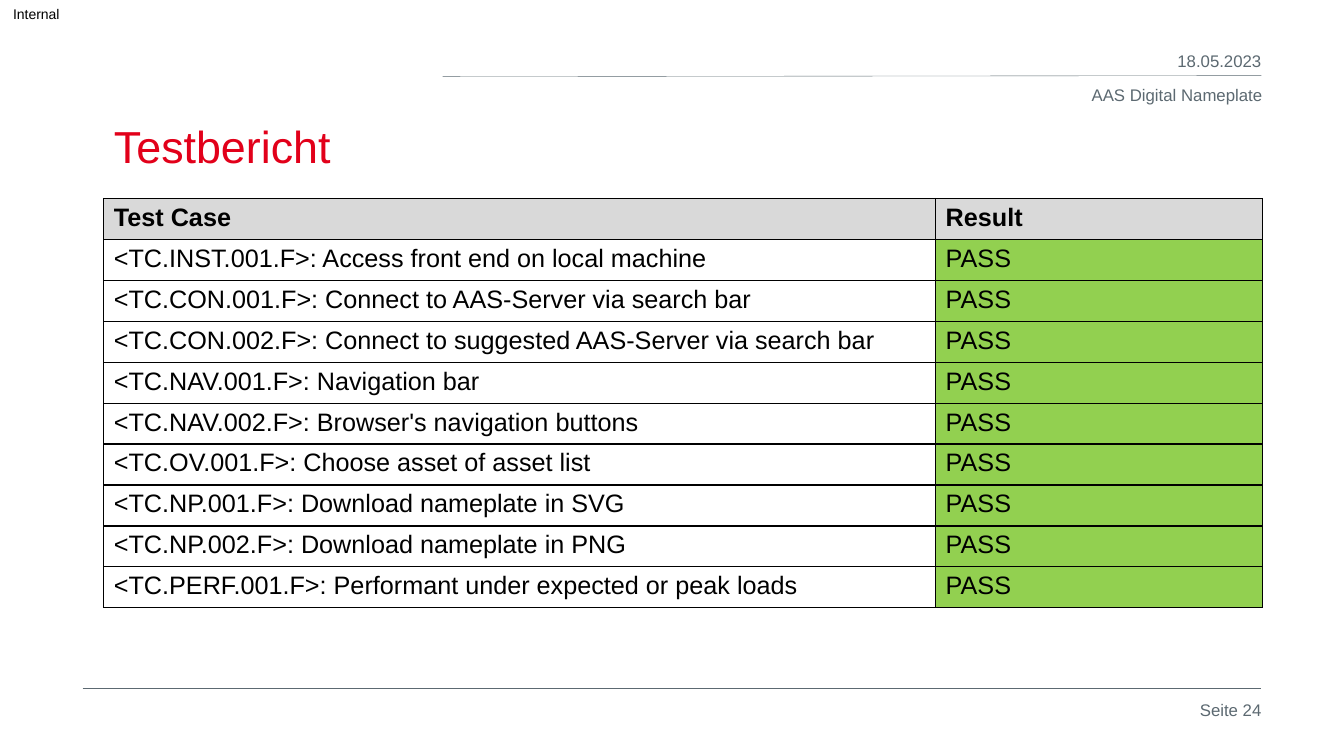
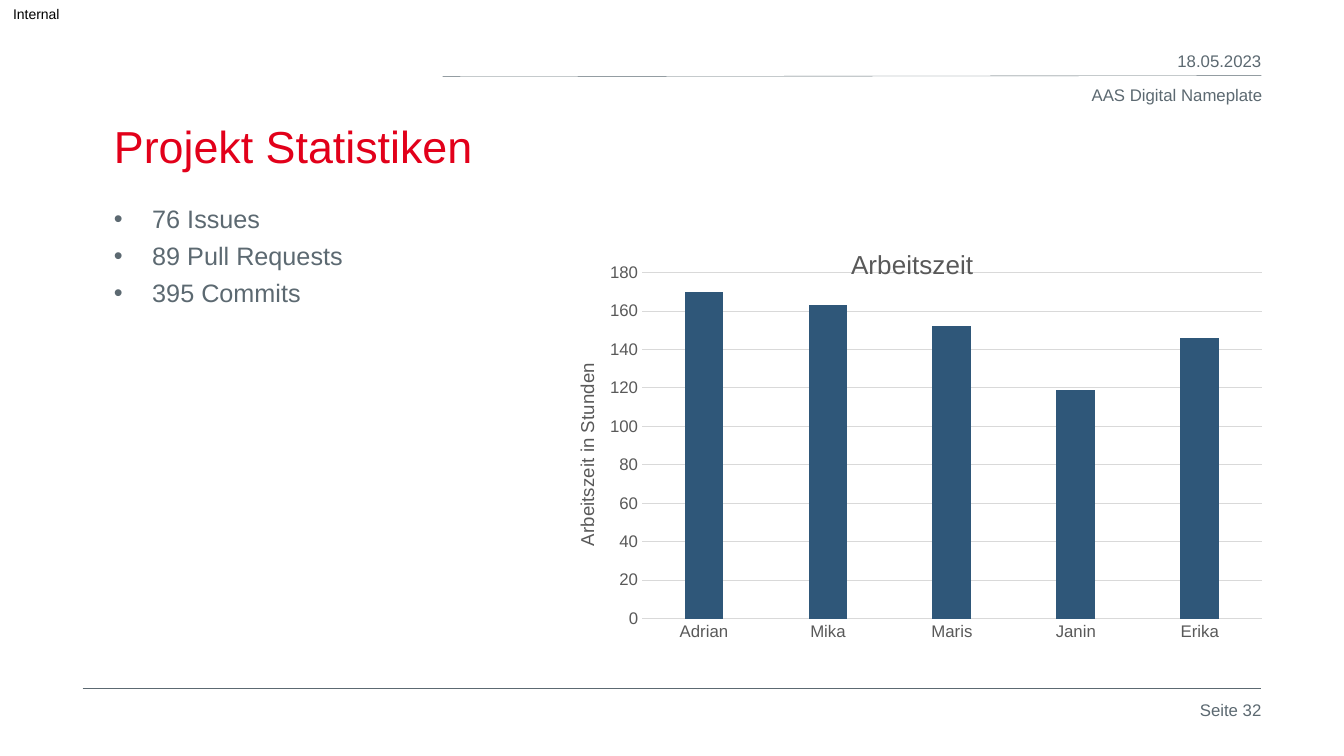
from lxml import etree
from pptx import Presentation
from pptx import util as u
from pptx.chart.data import CategoryChartData
from pptx.dml.color import RGBColor
from pptx.enum import chart as ch, shapes, text
from pptx.oxml.ns import qn

PX = 9144  # 100 px to the inch
FONT = "Arial"
COLORS = {
    "red": "E2001A",
    "slate": "5C6971",
    "black": "000000",
    "white": "FFFFFF",
    "header": "D9D9D9",
    "pass": "92D050",
    "bar": "2F5779",
    "label": "595959",
    "grid": "D9D9D9",
}
LEFT, RIGHT, WIDTH = 103, 1251, 1149
TITLE_ONLY, TITLE_BODY = 5, 1

TEST_CASES = [
    "<TC.INST.001.F>: Access front end on local machine",
    "<TC.CON.001.F>: Connect to AAS-Server via search bar",
    "<TC.CON.002.F>: Connect to suggested AAS-Server via search bar",
    "<TC.NAV.001.F>: Navigation bar",
    "<TC.NAV.002.F>: Browser's navigation buttons",
    "<TC.OV.001.F>: Choose asset of asset list",
    "<TC.NP.001.F>: Download nameplate in SVG",
    "<TC.NP.002.F>: Download nameplate in PNG",
    "<TC.PERF.001.F>: Performant under expected or peak loads",
]
HOURS = {"Adrian": 170, "Mika": 163, "Maris": 152, "Janin": 119, "Erika": 146}


def px(*lengths):
    return [u.Emu(n * PX) for n in lengths]


def rgb(name):
    return RGBColor.from_string(COLORS[name])


def style_font(font, size, color, bold=False):
    font.name = FONT
    font.size = u.Pt(size)
    font.bold = bold
    font.color.rgb = rgb(color)


def style_text(tf, size, color, align=text.PP_ALIGN.LEFT, bold=False):
    for p in tf.paragraphs:
        p.alignment = align
        for r in p.runs:
            style_font(r.font, size, color, bold)


def place(sp, *box):
    sp.left, sp.top, sp.width, sp.height = px(*box)


def add_label(s, words, box, size=12, color="slate", align=text.PP_ALIGN.RIGHT):
    tf = s.shapes.add_textbox(*px(*box)).text_frame
    tf.word_wrap = True
    tf.text = words
    style_text(tf, size, color, align)
    return tf


def add_rule(s, *ends):
    line = s.shapes.add_connector(shapes.MSO_CONNECTOR.STRAIGHT, *px(*ends))
    line.line.color.rgb = rgb("slate")
    line.line.width = u.Pt(0.25)
    etree.SubElement(line._element.spPr, qn("a:effectLst"))


def add_slide(prs, layout, title, page):
    """Add a slide with the title, rules and labels that all slides share."""
    s = prs.slides.add_slide(prs.slide_layouts[layout])
    add_rule(s, 439, 76, RIGHT, 75)
    add_rule(s, 82, 683, RIGHT, 683)
    add_label(s, "AAS Digital Nameplate", (852, 79, 410, 50))
    add_label(s, "18.05.2023", (996, 45, 265, 31))
    add_label(s, f"Seite {page}", (1138, 689, 123, 50))

    tf = add_label(s, "Internal", (0, 0, 73, 28), 10, "black", text.PP_ALIGN.LEFT)
    tf.margin_left = px(13)[0]
    tf.margin_top = tf.margin_right = tf.margin_bottom = 0
    tf.vertical_anchor = text.MSO_ANCHOR.MIDDLE

    place(s.shapes.title, LEFT, 118, WIDTH, 58)
    tf = s.shapes.title.text_frame
    tf.text = title
    tf.auto_size = text.MSO_AUTO_SIZE.NONE
    tf.vertical_anchor = text.MSO_ANCHOR.BOTTOM
    style_text(tf, 32, "red")
    return s


def add_bullets(s, items, *box):
    body = s.placeholders[1]
    place(body, *box)
    tf = body.text_frame
    tf.text = "\n".join(items)
    tf.auto_size = text.MSO_AUTO_SIZE.NONE
    indent = px(38)[0]
    for i, p in enumerate(tf.paragraphs):
        p.space_before = u.Pt(4.7 if i else 0)
        pPr = p._p.get_or_add_pPr()
        pPr.set("marL", str(indent))
        pPr.set("indent", str(-indent))
        etree.SubElement(pPr, qn("a:buChar")).set("char", "•")
    style_text(tf, 18, "slate")


def add_borders(cell):
    tcPr = cell._tc.get_or_add_tcPr()
    for side in ("lnL", "lnR", "lnT", "lnB"):
        ln = etree.SubElement(tcPr, qn(f"a:{side}"), w=str(u.Pt(1)))
        fill = etree.SubElement(ln, qn("a:solidFill"))
        etree.SubElement(fill, qn("a:srgbClr"), val=COLORS["black"])


def add_results_table(s, cases, *box):
    rows = [("Test Case", "Result")] + [(case, "PASS") for case in cases]
    table = s.shapes.add_table(len(rows), 2, *px(*box)).table
    table.horz_banding = False
    for column, width in zip(table.columns, px(825, 324)):
        column.width = width
    for i, row in enumerate(rows):
        fills = ("white", "pass") if i else ("header", "header")
        for j, words in enumerate(row):
            cell = table.cell(i, j)
            cell.text = words
            style_text(cell.text_frame, 18, "black", bold=i == 0)
            add_borders(cell)
            cell.fill.solid()
            cell.fill.fore_color.rgb = rgb(fills[j])


def set_layout(parent, index, **values):
    """Give a chart part a manual layout, in fractions of the chart."""
    old = parent.find(qn("c:layout"))
    if old is not None:
        parent.remove(old)
    layout = etree.Element(qn("c:layout"))
    parent.insert(index, layout)
    manual = etree.SubElement(layout, qn("c:manualLayout"))
    if "w" in values:
        etree.SubElement(manual, qn("c:layoutTarget"), val="inner")
    for key in ("x", "y"):
        etree.SubElement(manual, qn(f"c:{key}Mode"), val="edge")
    for key, value in values.items():
        etree.SubElement(manual, qn(f"c:{key}"), val=str(value))


def set_chart_title(title, words, size, x, y):
    tf = title.text_frame
    tf.text = words
    style_text(tf, size, "label", text.PP_ALIGN.CENTER)
    set_layout(title._element, 1, x=x, y=y)


def style_axis(axis):
    axis.major_tick_mark = axis.minor_tick_mark = ch.XL_TICK_MARK.NONE
    style_font(axis.tick_labels.font, 12, "label")


def style_line(line):
    line.color.rgb = rgb("grid")
    line.width = u.Pt(0.75)


def add_hours_chart(s, hours, *box):
    data = CategoryChartData()
    data.categories = list(hours)
    data.add_series("Arbeitszeit", list(hours.values()))
    kind = ch.XL_CHART_TYPE.COLUMN_CLUSTERED
    chart = s.shapes.add_chart(kind, *px(*box), data).chart
    style_font(chart.font, 10, "black")
    chart.has_legend = False
    chart.has_title = True
    set_chart_title(chart.chart_title, "Arbeitszeit", 18.6, 0.41, 0.05)

    plot = chart.plots[0]
    plot.vary_by_categories = False
    plot.gap_width, plot.overlap = 219, -27
    bars = plot.series[0].format.fill
    bars.solid()
    bars.fore_color.rgb = rgb("bar")

    style_axis(chart.category_axis)
    style_line(chart.category_axis.format.line)
    axis = chart.value_axis
    style_axis(axis)
    axis.format.line.fill.background()
    axis.minimum_scale, axis.maximum_scale, axis.major_unit = 0, 180, 20
    style_line(axis.major_gridlines.format.line)
    axis.has_title = True
    set_chart_title(axis.axis_title, "Arbeitszeit in Stunden", 13.3, 0.02, 0.32)
    axis.axis_title.text_frame._txBody.bodyPr.set("rot", "-5400000")
    axis.axis_title.text_frame._txBody.bodyPr.set("vert", "horz")

    plot_area = chart._chartSpace.chart.plotArea
    set_layout(plot_area, 0, x=0.12, y=0.12, w=0.88, h=0.8)


def main():
    prs = Presentation()
    prs.slide_width, prs.slide_height = px(1333, 750)

    s = add_slide(prs, TITLE_ONLY, "Testbericht", 24)
    add_results_table(s, TEST_CASES, LEFT, 197, WIDTH, 406)

    s = add_slide(prs, TITLE_BODY, "Projekt Statistiken", 32)
    add_bullets(s, ["76 Issues", "89 Pull Requests", "395 Commits"], LEFT, 197, 450, 470)
    add_hours_chart(s, HOURS, 553, 219, 699, 429)

    prs.save("out.pptx")


if __name__ == "__main__":
    main()
